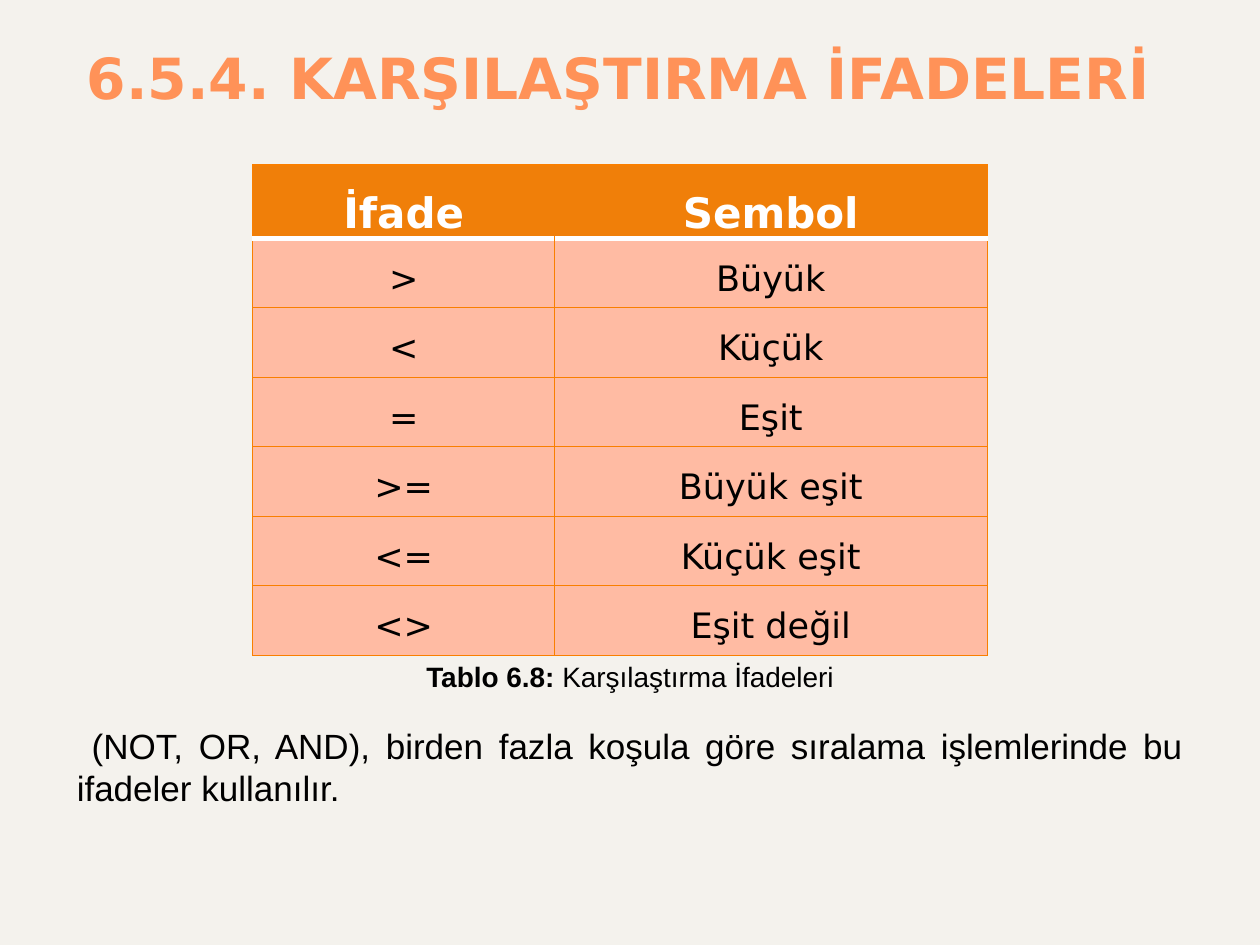
from dataclasses import dataclass
from typing import Any

from lxml.etree import SubElement
from pptx import Presentation
from pptx.dml.color import RGBColor
from pptx.enum.text import MSO_ANCHOR, MSO_AUTO_SIZE, PP_ALIGN
from pptx.oxml.ns import qn
from pptx.util import Pt

BACKGROUND = RGBColor(0xF4, 0xF2, 0xED)
TITLE = RGBColor(0xFF, 0x92, 0x58)
HEADER = RGBColor(0xF0, 0x7F, 0x09)
BODY = RGBColor(0xFF, 0xBB, 0xA3)
BORDER = RGBColor(0xF9, 0x7F, 0x00)
WHITE = RGBColor(0xFF, 0xFF, 0xFF)
BLACK = RGBColor(0x00, 0x00, 0x00)


@dataclass(frozen=True)
class Style:
    name: str
    size: float
    color: RGBColor
    bold: bool = False


@dataclass(frozen=True)
class Comparison:
    symbol: str
    meaning: str


TITLE_STYLE = Style("DejaVu Sans", 32.4, TITLE, True)
HEADER_STYLE = Style("DejaVu Sans", 24, WHITE, True)
CELL_STYLE = Style("DejaVu Sans", 20, BLACK)
LABEL_STYLE = Style("Arial", 16, BLACK, True)
CAPTION_STYLE = Style("Arial", 16, BLACK)
NOTE_STYLE = Style("Arial", 20, BLACK)

ROWS = [
    Comparison("İfade", "Sembol"),
    Comparison(">", "Büyük"),
    Comparison("<", "Küçük"),
    Comparison("=", "Eşit"),
    Comparison(">=", "Büyük eşit"),
    Comparison("<=", "Küçük eşit"),
    Comparison("<>", "Eşit değil"),
]


def apply(target: Any, values: dict[str, Any]) -> None:
    for name, value in values.items():
        setattr(target, name, value)


def add_run(p: Any, text: str, style: Style) -> None:
    r = p.add_run()
    r.text = text
    apply(r.font, {"name": style.name, "size": Pt(style.size), "bold": style.bold})
    r.font.color.rgb = style.color


def set_border(cell: Any, side: str, color: RGBColor, width: float) -> None:
    ln = SubElement(cell._tc.get_or_add_tcPr(), qn(f"a:ln{side}"), w=str(Pt(width)))
    fill = SubElement(ln, qn("a:solidFill"))
    SubElement(fill, qn("a:srgbClr"), val=str(color))


def fill_cell(cell: Any, text: str, is_header: bool, below_header: bool, is_first: bool) -> None:
    inner = (HEADER if is_header else BORDER, 0.75)
    outer = (BORDER, 0.75)
    rule = (WHITE, 3.35)
    borders = {
        "L": outer if is_first else inner,
        "R": inner if is_first else outer,
        "T": rule if below_header else outer,
        "B": rule if is_header else outer,
    }
    for side, (color, width) in borders.items():
        set_border(cell, side, color, width)
    cell.fill.solid()
    cell.fill.fore_color.rgb = HEADER if is_header else BODY
    apply(cell, {"margin_left": Pt(5), "margin_right": Pt(5), "margin_top": 0, "margin_bottom": 0})
    p = cell.text_frame.paragraphs[0]
    apply(p, {"alignment": PP_ALIGN.CENTER, "line_spacing": 1.5, "space_after": Pt(6)})
    add_run(p, text, HEADER_STYLE if is_header else CELL_STYLE)


def add_title(s: Any) -> None:
    sp = s.shapes.title
    apply(sp, {"left": Pt(42.5), "top": Pt(21), "width": Pt(644.5), "height": Pt(83)})
    tf = sp.text_frame
    apply(tf, {"vertical_anchor": MSO_ANCHOR.TOP, "word_wrap": True, "auto_size": MSO_AUTO_SIZE.NONE})
    p = tf.paragraphs[0]
    p.alignment = PP_ALIGN.LEFT
    add_run(p, "6.5.4. KARŞILAŞTIRMA İFADELERİ", TITLE_STYLE)


def add_comparisons(s: Any) -> None:
    row_height = 39.7
    widths = [172.4, 247.2]
    table = s.shapes.add_table(
        len(ROWS), len(widths), Pt(144.5), Pt(94.3), Pt(sum(widths)), Pt(row_height * len(ROWS))
    ).table
    table.horz_banding = False
    for column, width in zip(table.columns, widths):
        column.width = Pt(width)
    for i, item in enumerate(ROWS):
        table.rows[i].height = Pt(row_height)
        for j, text in enumerate((item.symbol, item.meaning)):
            fill_cell(table.cell(i, j), text, i == 0, i == 1, j == 0)


def add_caption_and_note(s: Any) -> None:
    sp = s.shapes.add_textbox(Pt(36.8), Pt(372.3), Pt(646.5), Pt(94.3))
    tf = sp.text_frame
    apply(tf, {"word_wrap": True, "vertical_anchor": MSO_ANCHOR.MIDDLE})
    p = tf.paragraphs[0]
    p.alignment = PP_ALIGN.CENTER
    add_run(p, "Tablo 6.8:", LABEL_STYLE)
    add_run(p, " Karşılaştırma İfadeleri", CAPTION_STYLE)
    p = tf.add_paragraph()
    apply(p, {"alignment": PP_ALIGN.JUSTIFY, "space_before": Pt(18.4)})
    p._p.get_or_add_pPr().set("indent", str(Pt(8.5)))
    add_run(
        p,
        "(NOT, OR, AND), birden fazla koşula göre sıralama işlemlerinde bu ifadeler kullanılır.",
        NOTE_STYLE,
    )


def main() -> None:
    prs = Presentation()
    apply(prs, {"slide_width": Pt(720), "slide_height": Pt(540)})
    s = prs.slides.add_slide(prs.slide_layouts[5])
    s.background.fill.solid()
    s.background.fill.fore_color.rgb = BACKGROUND
    add_title(s)
    add_comparisons(s)
    add_caption_and_note(s)
    prs.save("out.pptx")


if __name__ == "__main__":
    main()
